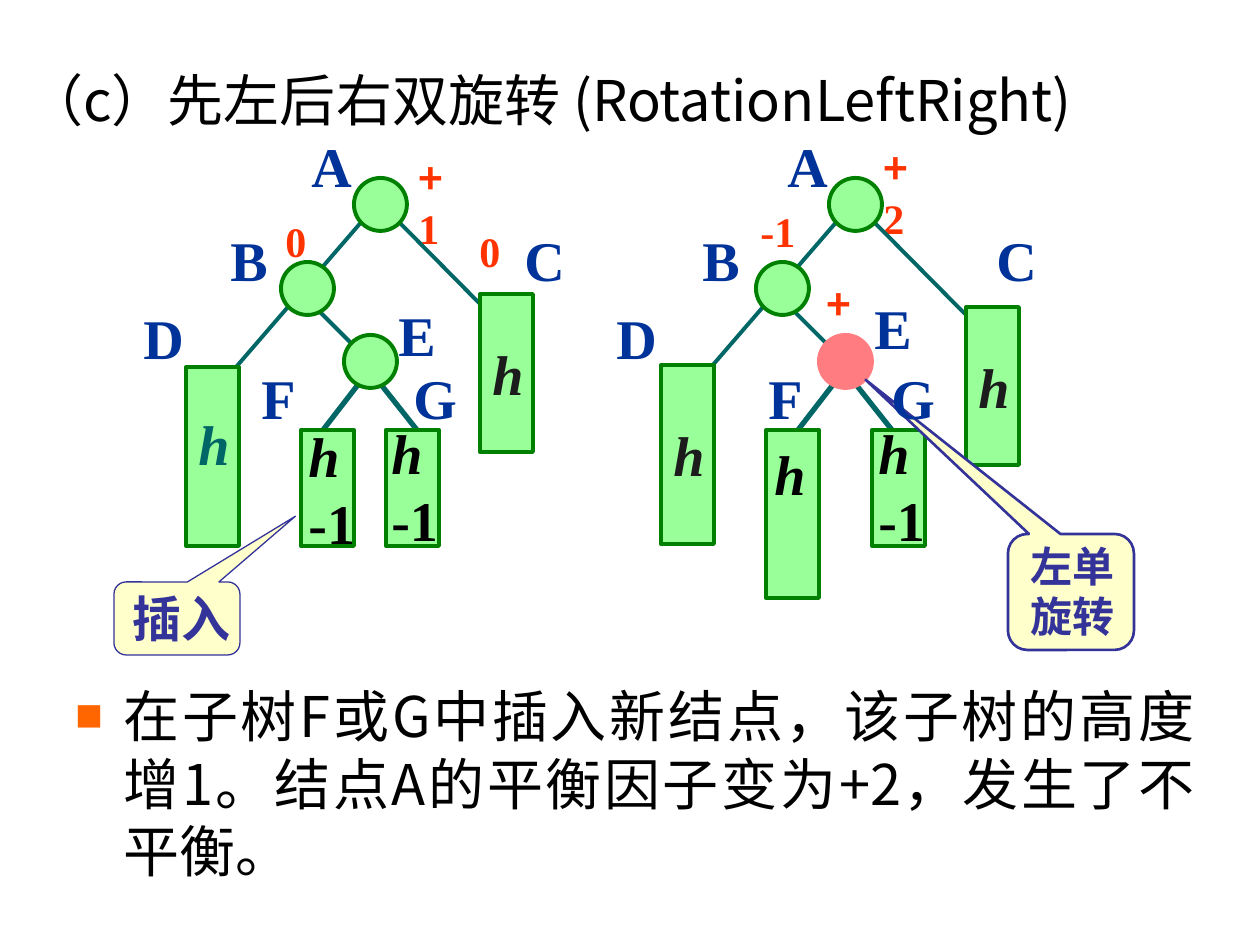
from lxml import etree
from pptx import Presentation
from pptx import util as u
from pptx.dml.color import RGBColor
from pptx.enum import shapes, text
from pptx.oxml.ns import qn

EMU_PER_PX = 914400 / 126
SANS, SERIF = "Noto Sans CJK SC", "Times New Roman"
COLORS = {
    "black": "000000", "ink": "1C1C1C", "teal": "006666", "name": "003399",
    "factor": "FF3300", "bullet": "FF6600", "green": "99FF99",
    "outline": "008000", "pink": "FF7C80", "cream": "FFFFCC", "indigo": "333399",
}
NODE, BLOCK_WIDTH, TREE_STEP = 53, 53, 475
NAME_WIDTHS = {"A": 66, "B": 62, "C": 66, "D": 66, "E": 62, "F": 59, "G": 68}

# Positions in the left tree; the right tree lies TREE_STEP further right.
NODES = {"A": (354, 178), "B": (281, 262), "E": (344, 335)}
EDGES = [  # x1, y1, x2, y2, line width
    (396, 219, 490, 314, 2.25), (364, 219, 218, 388, 2.25),
    (312, 304, 375, 367, 2.25), (364, 377, 323, 430, 3), (375, 377, 417, 430, 3),
]
TREES = [
    {
        "shift": 0,
        "fills": {},
        "factors": [("+1", 406, 146, 69), ("0", 273, 209, 45), ("0", 467, 219, 45)],
        # left, top, height, text colour (None: unlabelled), line spacing
        "blocks": [(480, 294, 158, "ink", 1.2), (186, 367, 179, "teal", 0.72),
                   (301, 430, 116, None, 0), (386, 430, 116, None, 0)],
        "names": {"A": (299, 125), "B": (218, 219), "C": (512, 219), "D": (131, 297),
                  "E": (386, 294), "F": (249, 357), "G": (401, 357)},
        "heights": [(("h", "-1"), 296, 415), (("h", "-1"), 379, 412)],
    },
    {
        "shift": TREE_STEP,
        "fills": {"E": "pink"},
        "factors": [("+2", 871, 136, 69), ("-1", 748, 199, 61), ("+1", 814, 272, 69)],
        "blocks": [(966, 307, 158, "ink", 1.2), (661, 365, 179, "ink", 1.2),
                   (766, 430, 168, None, 0), (872, 430, 116, None, 0)],
        "names": {"A": (775, 125), "B": (690, 219), "C": (984, 219), "D": (604, 297),
                  "E": (862, 287), "F": (756, 357), "G": (879, 357)},
        "heights": [(("h",), 762, 433), (("h", "-1"), 866, 412)],
    },
]


def px(length):
    return u.Emu(round(length * EMU_PER_PX))


def rgb(name):
    return RGBColor.from_string(COLORS[name])


def write(frame, lines, size, color, font=SERIF, bold=True, spacing=1.2):
    """Fill a frame; each line is a list of (words, font, italic) or a string."""
    frame.word_wrap = True
    for index, line in enumerate(lines):
        para = frame.paragraphs[0] if index == 0 else frame.add_paragraph()
        if spacing:
            para.line_spacing = u.Pt(size * spacing)
        spans = [(line, font, False)] if isinstance(line, str) else line
        for words, face, italic in spans:
            span = para.add_run()
            span.text = words
            span.font.size = u.Pt(size)
            span.font.bold, span.font.italic = bold, italic
            span.font.name = face
            span.font.color.rgb = rgb(color)
            east = etree.SubElement(span.font._element, qn("a:ea"))
            east.set("typeface", SANS)


def add_text(page, place, lines, size, color, **style):
    box = page.shapes.add_textbox(*map(px, place))
    write(box.text_frame, lines, size, color, **style)
    return box


def add_figure(page, kind, place, fill, outline, weight):
    figure = page.shapes.add_shape(kind, *map(px, place))
    figure.shadow.inherit = False
    figure.fill.solid()
    figure.fill.fore_color.rgb = rgb(fill)
    figure.line.color.rgb = rgb(outline)
    figure.line.width = u.Pt(weight)
    return figure


def add_edge(page, x1, y1, x2, y2, weight):
    edge = page.shapes.add_connector(
        shapes.MSO_CONNECTOR.STRAIGHT, px(x1), px(y1), px(x2), px(y2))
    edge.line.color.rgb = rgb("teal")
    edge.line.width = u.Pt(weight)
    etree.SubElement(edge._element.spPr, qn("a:effectLst"))


def add_block(page, left, top, height, color, spacing):
    """Draw a subtree block, with its height h when a text colour is given."""
    block = add_figure(page, shapes.MSO_SHAPE.RECTANGLE,
                       (left, top, BLOCK_WIDTH, height), "green", "outline", 2.25)
    if color:
        write(block.text_frame, [[("h", SERIF, True)]], 32, color, spacing=spacing)
        block.text_frame.vertical_anchor = text.MSO_ANCHOR.MIDDLE
        block.text_frame.paragraphs[0].alignment = text.PP_ALIGN.CENTER


def add_callout(page, place, tip, weight, text_place, lines, size):
    callout = add_figure(page, shapes.MSO_SHAPE.ROUNDED_RECTANGULAR_CALLOUT,
                         place, "cream", "indigo", weight)
    for index, value in enumerate((*tip, 0.167)):
        callout.adjustments[index] = value
    add_text(page, text_place, lines, size, "indigo")


def add_factor(page, words, left, top, width):
    spans = [(sign, SANS if sign == "+" else SERIF, False) for sign in words]
    if "+" not in words:
        spans = [(words, SERIF, False)]
    add_text(page, (left, top, width, 63), [spans], 24, "factor")


def add_tree(page, tree):
    shift = tree["shift"]
    for factor in tree["factors"]:
        add_factor(page, *factor)
    for x1, y1, x2, y2, weight in EDGES:
        add_edge(page, x1 + shift, y1, x2 + shift, y2, weight)
    for block in tree["blocks"]:
        add_block(page, *block)
    for name, (left, top) in NODES.items():
        fill = tree["fills"].get(name, "green")
        add_figure(page, shapes.MSO_SHAPE.OVAL, (left + shift, top, NODE, NODE),
                   fill, "outline" if fill == "green" else fill, 2.25)


def add_tree_labels(page, tree):
    for name, (left, top) in tree["names"].items():
        add_text(page, (left, top, NAME_WIDTHS[name], 81), [name], 32, "name")
    for lines, left, top in tree["heights"]:
        add_text(page, (left, top, 73, 14 + 67 * len(lines)),
                 [[(line, SERIF, line == "h")] for line in lines], 32, "black")


def add_title(page):
    box = add_text(page, (15, 57, 1111, 84),
                   ["（c）先左后右双旋转 (RotationLeftRight)"],
                   32, "black", font=SANS, bold=False, spacing=None)
    box.text_frame.vertical_anchor = text.MSO_ANCHOR.MIDDLE


def add_body(page):
    box = add_text(page, (63, 670, 1144, 230),
                   ["在子树F或G中插入新结点，该子树的高度增1。"
                    "结点A的平衡因子变为+2，发生了不平衡。"],
                   32, "black", font=SANS, bold=False)
    box.text_frame.margin_top = px(12)
    para = box.text_frame.paragraphs[0]
    para.alignment = text.PP_ALIGN.JUSTIFY
    props = para._p.get_or_add_pPr()
    props.set("marL", str(px(48)))
    props.set("indent", str(-px(48)))
    tint = etree.SubElement(props, qn("a:buClr"))
    etree.SubElement(tint, qn("a:srgbClr")).set("val", COLORS["bullet"])
    etree.SubElement(props, qn("a:buSzPct")).set("val", "50000")
    etree.SubElement(props, qn("a:buFont")).set("typeface", SANS)
    etree.SubElement(props, qn("a:buChar")).set("char", "■")


def main():
    deck = Presentation()
    deck.slide_width, deck.slide_height = u.Inches(10), u.Inches(7.5)
    page = deck.slides.add_slide(deck.slide_layouts[6])
    add_body(page)
    add_title(page)
    for tree in TREES:
        add_tree(page, tree)
    add_callout(page, (114, 582, 126, 73), (0.94, -1.4), 0.75,
                (120, 582, 125, 72), ["插入"], 28)
    add_callout(page, (1008, 534, 126, 116), (-1.63, -1.83), 1.5,
                (1018, 534, 126, 113), ["左单", "旋转"], 24)
    for tree in TREES:
        add_tree_labels(page, tree)
    deck.save("out.pptx")


if __name__ == "__main__":
    main()
